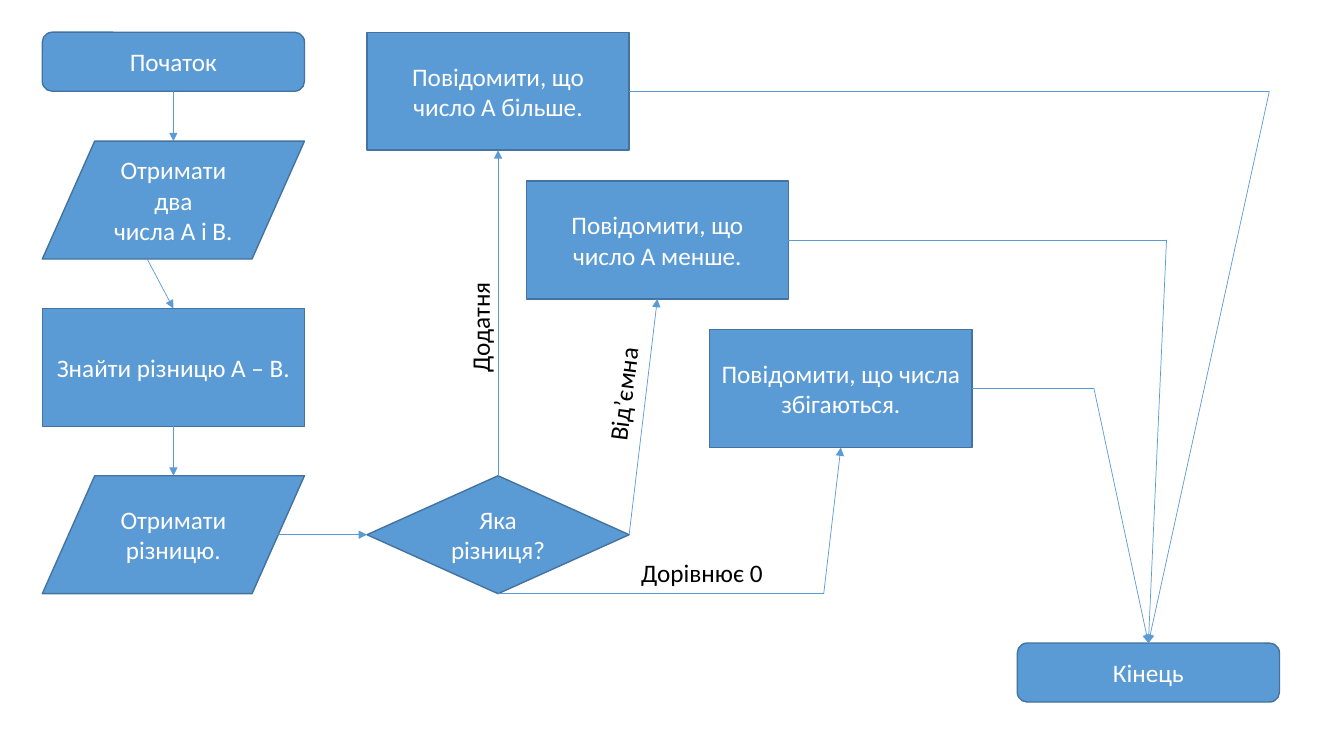
from lxml import etree
from pptx import Presentation
from pptx.dml.color import RGBColor
from pptx.enum.shapes import MSO_CONNECTOR, MSO_SHAPE
from pptx.enum.text import MSO_ANCHOR, MSO_AUTO_SIZE, PP_ALIGN
from pptx.oxml.ns import qn
from pptx.util import Inches, Pt

TERMINAL = MSO_SHAPE.FLOWCHART_ALTERNATE_PROCESS
PROCESS = MSO_SHAPE.FLOWCHART_PROCESS
DATA = MSO_SHAPE.FLOWCHART_DATA
DECISION = MSO_SHAPE.FLOWCHART_DECISION
STRAIGHT = MSO_CONNECTOR.STRAIGHT
MIDDLE = MSO_ANCHOR.MIDDLE
CENTER = PP_ALIGN.CENTER
GROW = MSO_AUTO_SIZE.SHAPE_TO_FIT_TEXT

COLORS = {"fill": "5B9BD5", "outline": "43739E", "light": "FFFFFF", "dark": "000000"}
FONT = "Calibri"
BOX_WIDTH, BOX_HEIGHT = 2.6, 1.17
LEFT, TOP = 0.42, 0.32
STEP_TOP, STEP_PITCH = 1.4, 1.66
RESULT_PITCH = 1.475
BRANCH_LEFT = 3.64
TOP_SIDE, BOTTOM_SIDE = (0.5, 0), (0.5, 1)
LEFT_SIDE, RIGHT_SIDE = (0, 0.5), (1, 0.5)
DATA_BOTTOM, DATA_RIGHT = (0.4, 1), (0.9, 0.5)


def color(name):
    return RGBColor.from_string(COLORS[name])


def write(shape, text, ink):
    shape.text_frame.text = text
    para = shape.text_frame.paragraphs[0]
    for span in para.runs:
        span.font.name = FONT
        span.font.size = Pt(18)
        span.font.color.rgb = color(ink)
    return para


def add_step(page, kind, text, left, top, height=BOX_HEIGHT):
    box = page.shapes.add_shape(
        kind, Inches(left), Inches(top), Inches(BOX_WIDTH), Inches(height))
    box.shadow.inherit = False
    box.fill.solid()
    box.fill.fore_color.rgb = color("fill")
    box.line.color.rgb = color("outline")
    box.line.width = Pt(1)
    box.text_frame.word_wrap = True
    box.text_frame.vertical_anchor = MIDDLE
    write(box, text, "light").alignment = CENTER
    return box


def add_label(page, text, left, top, width, rotation=0):
    box = page.shapes.add_textbox(
        Inches(left), Inches(top), Inches(width), Inches(0.4))
    box.rotation = rotation
    box.text_frame.word_wrap = False
    box.text_frame.auto_size = GROW
    write(box, text, "dark")


def anchor(box, side):
    across, down = side
    return (round(box.left + across * box.width), round(box.top + down * box.height))


def add_route(page, *points):
    for start, end in zip(points, points[1:]):
        line = page.shapes.add_connector(STRAIGHT, *start, *end)
        line.line.color.rgb = color("fill")
        line.line.width = Pt(0.5)
        if end == points[-1]:
            outline = line.line._get_or_add_ln()
            etree.SubElement(outline, qn("a:tailEnd"), type="triangle")
        etree.SubElement(line._element.spPr, qn("a:effectLst"))


def main():
    deck = Presentation()
    deck.slide_width, deck.slide_height = Inches(13.33), Inches(7.5)
    page = deck.slides.add_slide(deck.slide_layouts[6])

    rows = [STEP_TOP + STEP_PITCH * row for row in range(3)]
    start = add_step(page, TERMINAL, "Початок", LEFT, TOP, BOX_HEIGHT / 2)
    finish = add_step(page, TERMINAL, "Кінець", 10.09, 6.38, BOX_HEIGHT / 2)
    numbers = add_step(page, DATA, "Отримати два числа\u00a0A\u00a0і\u00a0B.", LEFT, rows[0])
    subtract = add_step(page, PROCESS, "Знайти різницю\u00a0А – B.", LEFT, rows[1])
    difference = add_step(page, DATA, "Отримати різницю.", LEFT, rows[2])
    question = add_step(page, DECISION, "Яка різниця?", BRANCH_LEFT, rows[2])

    results = [
        ("Повідомити, що число\u00a0А\u00a0більше.", BRANCH_LEFT, 12.59),
        ("Повідомити, що число\u00a0А\u00a0менше.", 5.22, 11.57),
        ("Повідомити, що числа збігаються.", 7.04, 10.85),
    ]
    boxes = []
    for row, (text, left, bend) in enumerate(results):
        box = add_step(page, PROCESS, text, left, TOP + RESULT_PITCH * row)
        exit_point = anchor(box, RIGHT_SIDE)
        add_route(page, exit_point, (Inches(bend), exit_point[1]), anchor(finish, TOP_SIDE))
        boxes.append(box)
    greater, smaller, equal = boxes

    for source, source_side, target, target_side in [
        (start, BOTTOM_SIDE, numbers, TOP_SIDE),
        (numbers, DATA_BOTTOM, subtract, TOP_SIDE),
        (subtract, BOTTOM_SIDE, difference, TOP_SIDE),
        (difference, DATA_RIGHT, question, LEFT_SIDE),
        (question, TOP_SIDE, greater, BOTTOM_SIDE),
        (question, RIGHT_SIDE, smaller, BOTTOM_SIDE),
    ]:
        add_route(page, anchor(source, source_side), anchor(target, target_side))
    below = anchor(question, BOTTOM_SIDE)
    add_route(page, below, (Inches(8.17), below[1]), anchor(equal, BOTTOM_SIDE))

    add_label(page, "Дорівнює 0", 6.26, 5.48, 1.42)
    add_label(page, "Від’ємна", 5.61, 3.7, 1.14, 277.2)
    add_label(page, "Додатня", 4.21, 3.04, 1.1, 270)
    deck.save("out.pptx")


main()
